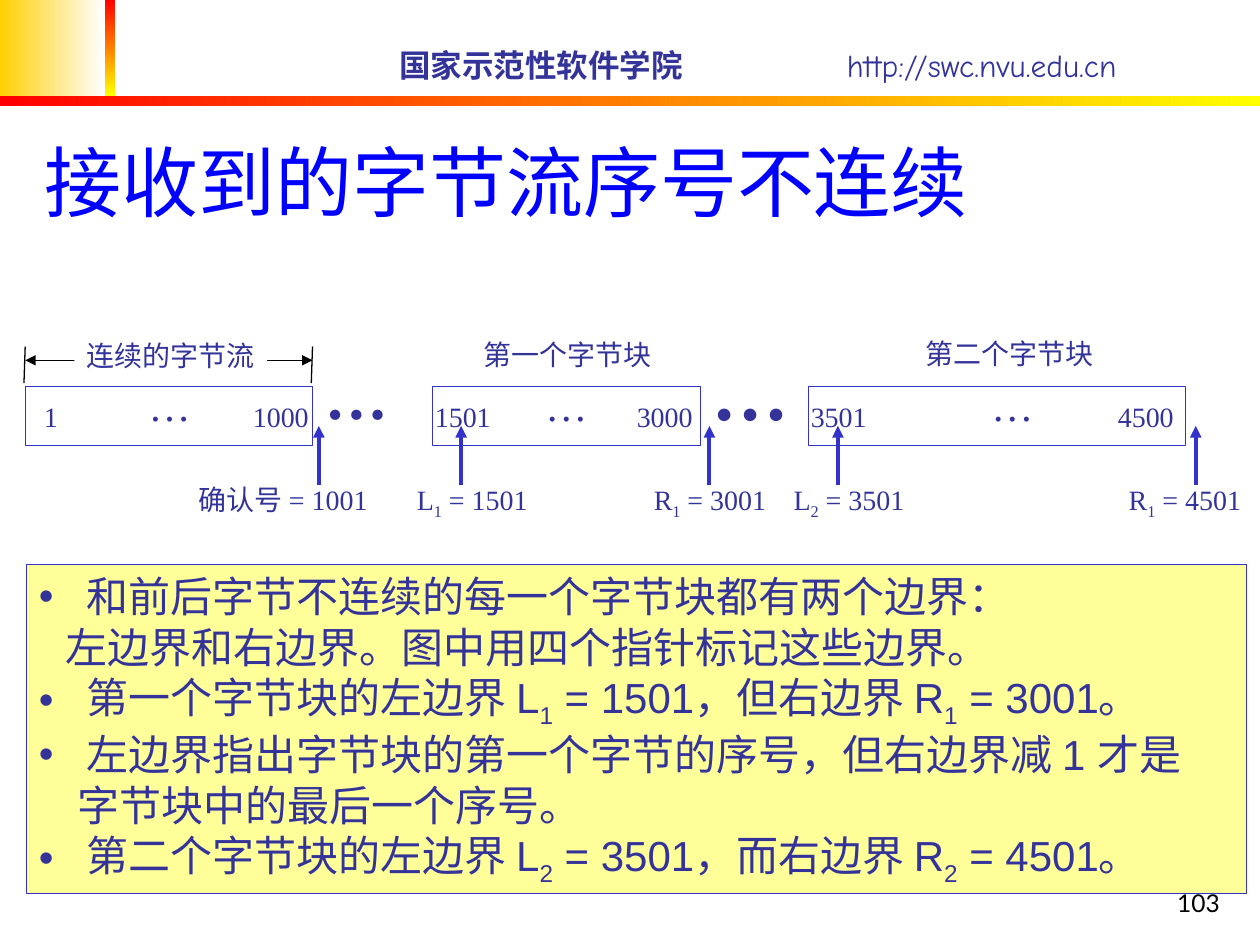
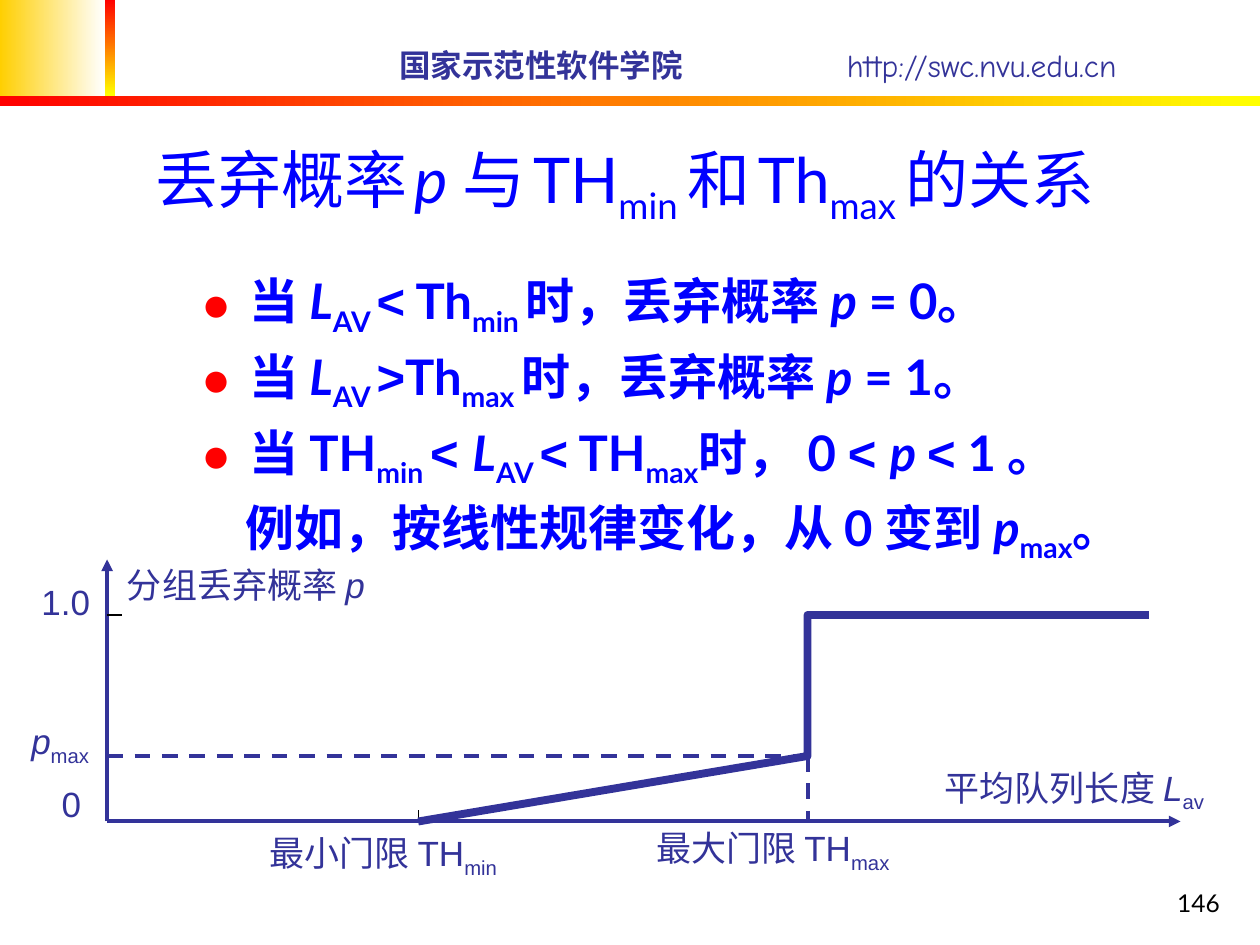
from pptx import Presentation
from pptx.dml.color import RGBColor as Rgb
from pptx.enum.dml import MSO_LINE as Dash
from pptx.enum.shapes import MSO_CONNECTOR as Conn, MSO_SHAPE as Kind
from pptx.enum.text import MSO_ANCHOR as Anchor, MSO_AUTO_SIZE as Fit, PP_ALIGN as Align
from pptx.oxml.ns import qn
from pptx.util import Pt
from lxml.etree import SubElement as Sub

HUE = {"ink": "333399", "edge": "3333CC", "title": "0000FF", "red": "FF0000",
       "yellow": "FFFF00", "gold": "FFCF01", "white": "FFFFFF", "note": "FFFF99",
       "black": "000000"}
SERIF, SANS, LATO, COMIC = "Times New Roman", "Arial", "Lato", "Comic Neue"

SCHOOL, SITE = "国家示范性软件学院", "http://swc.nvu.edu.cn"
BANDS = [
    ((0, 0, 59.8, 54.7), "gold", "white", 0),
    ((59.8, 0, 5.8, 54.7), "red", "yellow", 270),
    ((0, 54.7, 720, 5.8), "red", "yellow", 0),
]

STREAM = ["接收到的字节流序号不连续"]
BLOCKS = [
    (14.4, 164.2, "1", 18, "1000", 137.4, 77.8),
    (247, 153.4, "1501", 241.4, "3000", 356.8, 304.6),
    (462.2, 215.3, "3501", 456.2, "4500", 631.7, 559.4),
]
NAMES = [("第一个字节块", 269.3, 189.4), ("第二个字节块", 522, 188.6)]
MARKS = [
    (182.2, 106.6, ["确认号 = 1001"]),
    (263.5, 231.1, ["L", ("1", "s"), " = 1501"]),
    (405.4, 366.5, ["R", ("1", "s"), " = 3001"]),
    (478.8, 446.4, ["L", ("2", "s"), " = 3501"]),
    (683.3, 637.9, ["R", ("1", "s"), " = 4501"]),
]
GAPS = [(178.6, 200.2, 36), (399.6, 193, 44)]
NOTES = [
    ("•", 27.4, ["和前后字节不连续的每一个字节块都有两个边界："]),
    ("", 15.4, ["左边界和右边界。图中用四个指针标记这些边界。"]),
    ("•", 27.4, ["第一个字节块的左边界 L", ("1", "s"), " = 1501，但右边界 R",
                 ("1", "s"), " = 3001。"]),
    ("•", 27.4, ["左边界指出字节块的第一个字节的序号，但右边界减 1 才是"]),
    ("", 22.3, ["字节块中的最后一个序号。"]),
    ("•", 27.4, ["第二个字节块的左边界 L", ("2", "s"), " = 3501，而右边界 R",
                 ("2", "s"), " = 4501。"]),
]

DROP = ["丢弃概率", (" ", 18), ("p ", "i"), "与", (" ", 20), "TH", ("min ", "s"),
        "和", (" ", 20), "Th", ("max ", "s"), "的关系 "]
RULES = [
    ("●", 27.4, ["当 ", ("L", "i"), ("AV ", "s"), ("<", "a"), " Th", ("min ", "s"),
                 "时，丢弃概率 ", ("p", "i"), " = 0。"]),
    ("●", 27.4, ["当 ", ("L", "i"), ("AV ", "s"), (">", "a"), "Th", ("max ", "s"),
                 "时，丢弃概率 ", ("p", "i"), " = 1。"]),
    ("●", 27.4, ["当 TH", ("min ", "s"), ("< ", "a"), ("L", "i"), ("AV ", "s"),
                 ("<", "a"), " TH", ("max", "s"), "时， 0 ", ("< ", "a"),
                 ("p ", "i"), ("<", "a"), " 1 。"]),
    ("", 25.4, ["例如，按线性规律变化，从 0 变到 ", ("p", "i"), ("max", "s"), "。"]),
]
X = {"zero": 61.2, "min": 239, "max": 461.5, "stop": 656.6, "tip": 674.6}
Y = {"zero": 469.4, "pmax": 432, "one": 351.4, "tip": 319.7}
TAGS = [
    (146.9, 471.6, ["最小门限 TH", ("min", "s")]),
    (367.9, 468.7, ["最大门限 TH", ("max", "s")]),
    (532.8, 434.2, ["平均队列长度 ", ("L", "i"), ("av", "s")]),
    (65.5, 318.2, ["分组丢弃概率 ", ("p", "i")]),
    (16.6, 328.3, ["1.0"]),
    (28.1, 443.5, ["0"]),
    (10.8, 407.5, [("p", "i"), ("max", "s")]),
]


def rgb(name):
    return Rgb.from_string(HUE[name])


def pts(*vals):
    return [Pt(v) for v in vals]


def fill_runs(par, parts, font, size, hue, bold=False):
    for part in parts:
        text, style = (part, "") if isinstance(part, str) else part
        run = par.add_run()
        run.text = text
        face = run.font
        face.name = SANS if style == "a" else font
        face.size = Pt(style if isinstance(style, int) else size)
        face.bold = bold
        face.italic = style == "i"
        face.color.rgb = rgb(hue)
        if style == "s":
            run.font._element.set("baseline", "-25000")


def set_frame(frame, anchor=Anchor.TOP):
    frame.word_wrap = True
    frame.auto_size = Fit.NONE
    frame.vertical_anchor = anchor
    frame.margin_left = frame.margin_right = Pt(7.2)
    frame.margin_top = frame.margin_bottom = Pt(3.6)


def add_text(slide, box, parts, font, size, hue="ink", bold=False,
             align=Align.LEFT, anchor=Anchor.TOP):
    frame = slide.shapes.add_textbox(*pts(*box)).text_frame
    set_frame(frame, anchor)
    par = frame.paragraphs[0]
    par.alignment = align
    fill_runs(par, parts, font, size, hue, bold)


def add_list(frame, rows, font, size, hue, dot, bold=False, gap=0):
    set_frame(frame)
    for num, (mark, left, parts) in enumerate(rows):
        par = frame.add_paragraph() if num else frame.paragraphs[0]
        par.alignment = Align.LEFT
        par.space_before = Pt(gap if num else 0)
        prop = par._p.get_or_add_pPr()
        prop.set("marL", str(Pt(left)))
        prop.set("indent", str(-Pt(left) if mark else 0))
        if mark:
            tint = Sub(prop, qn("a:buClr"))
            Sub(tint, qn("a:srgbClr")).set("val", HUE[dot])
            Sub(prop, qn("a:buFont")).set("typeface", SANS)
            Sub(prop, qn("a:buChar")).set("char", mark)
        else:
            Sub(prop, qn("a:buNone"))
        fill_runs(par, parts, font, size, hue, bold)


def add_rect(slide, box, hue=None, edge=None):
    rect = slide.shapes.add_shape(Kind.RECTANGLE, *pts(*box))
    rect.shadow.inherit = False
    if hue:
        rect.fill.solid()
        rect.fill.fore_color.rgb = rgb(hue)
    if edge:
        rect.line.color.rgb = rgb(edge)
        rect.line.width = Pt(0.75)
    else:
        rect.line.fill.background()
    return rect


def add_line(slide, start, end, hue="black", width=0.75, heads=(), dash=False):
    line = slide.shapes.add_connector(Conn.STRAIGHT, *pts(*start, *end))
    Sub(line._element.spPr, qn("a:effectLst"))
    line.line.color.rgb = rgb(hue)
    line.line.width = Pt(width)
    if dash:
        line.line.dash_style = Dash.DASH
    for head in heads:
        Sub(line.line._get_or_add_ln(), qn(f"a:{head}End")).set("type", "triangle")


def add_page(deck, title, size, align, page):
    slide = deck.slides.add_slide(deck.slide_layouts[5])
    for box, first, last, angle in BANDS:
        fill = add_rect(slide, box).fill
        fill.gradient()
        fill.gradient_angle = angle
        for stop, hue in zip(fill.gradient_stops, (first, last)):
            stop.color.rgb = rgb(hue)
    for left, width, text, bold in ((221, 240, SCHOOL, True), (476.8, 226, SITE, False)):
        add_text(slide, (left, 23, width, 28.8), [text], COMIC, 18, bold=bold,
                 anchor=Anchor.MIDDLE)
    head = slide.shapes.title
    head.left, head.top, head.width, head.height = pts(18, 18, 686.2, 115.2)
    set_frame(head.text_frame, Anchor.BOTTOM)
    par = head.text_frame.paragraphs[0]
    par.alignment = align
    fill_runs(par, title, LATO, size, "title")
    add_text(slide, (554.4, 491.8, 149.8, 36), [page], LATO, 14, "black",
             align=Align.RIGHT, anchor=Anchor.BOTTOM)
    return slide


def draw_stream(deck):
    slide = add_page(deck, STREAM, 44, Align.LEFT, "103")
    for left, width, low, low_x, high, high_x, dots_x in BLOCKS:
        add_rect(slide, (left, 221, width, 33.8), "white", "edge")
        for text, x in ((low, low_x), (high, high_x)):
            add_text(slide, (x, 224.6, 60, 26.6), [text], SERIF, 16)
        add_text(slide, (dots_x, 213.1, 45, 36), ["…"], SERIF, 24)
    left, width = BLOCKS[0][:2]
    add_line(slide, (left, 205.9), (left + width, 205.9), heads=("head", "tail"))
    for x in (left, left + width):
        add_line(slide, (x, 198), (x - 0.7, 218.9))
    add_rect(slide, (42.5, 190.1, 110.2, 26.6), "white")
    for text, x, y in [("连续的字节流", 42.5, 190.1)] + NAMES:
        add_text(slide, (x, y, 125, 26.6), [text], SERIF, 16)
    for x, y, size in GAPS:
        add_text(slide, (x, y, 65, 60), ["…"], SERIF, size, bold=True)
    for x, text_x, parts in MARKS:
        add_text(slide, (text_x, 272.2, 82 if len(parts) > 1 else 130, 29.5),
                 parts, SERIF, 16)
        add_line(slide, (x, 277.2), (x, 243.4), "edge", 2.25, ("tail",))
    note = add_rect(slide, (15.1, 322.6, 697, 188), "note", "edge")
    add_list(note.text_frame, NOTES, SANS, 24, "ink", "ink")


def draw_drop(deck):
    slide = add_page(deck, DROP, 36, Align.CENTER, "146")
    base = (X["zero"], Y["zero"])
    knee = (X["max"], Y["pmax"])
    for tip in ((X["tip"], Y["zero"]), (X["zero"], Y["tip"])):
        add_line(slide, base, tip, "ink", 2.25, ("tail",))
    for start, end in ((knee, (X["max"], Y["zero"])), ((X["zero"], Y["pmax"]), knee)):
        add_line(slide, start, end, "ink", 2.25, dash=True)
    add_line(slide, (X["min"], Y["zero"] - 6.5), (X["min"], Y["zero"]))
    add_line(slide, (X["zero"], Y["one"]), (X["zero"] + 8.6, Y["one"]))
    path = slide.shapes.build_freeform(*pts(X["min"], Y["zero"]))
    path.add_line_segments(
        [pts(*p) for p in (knee, (X["max"], Y["one"]), (X["stop"], Y["one"]))],
        close=False)
    curve = path.convert_to_shape()
    curve.shadow.inherit = False
    curve.fill.background()
    curve.line.color.rgb = rgb("ink")
    curve.line.width = Pt(4.5)
    for x, y, parts in TAGS:
        add_text(slide, (x, y, min(180, 720 - x), 34.6), parts, SANS, 20)
    rules = slide.shapes.add_textbox(*pts(108, 151.2, 612, 187.2))
    add_list(rules.text_frame, RULES, LATO, 28, "title", "red", True, 5)


def main():
    deck = Presentation()
    deck.slide_width, deck.slide_height = pts(720, 540)
    draw_stream(deck)
    draw_drop(deck)
    deck.save("out.pptx")


if __name__ == "__main__":
    main()
